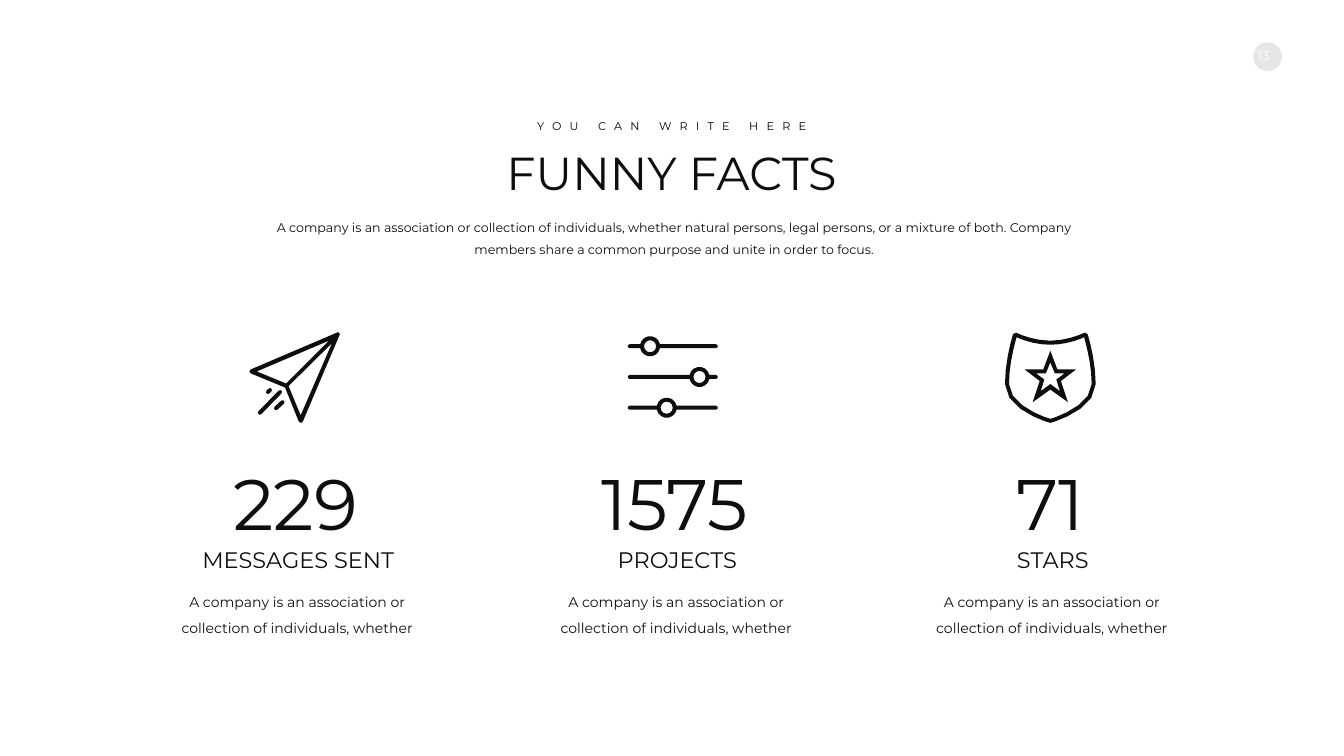
from math import asin, atan2, cos, pi, sin

from lxml import etree
from pptx import Presentation
from pptx.dml.color import RGBColor
from pptx.enum.shapes import MSO_SHAPE
from pptx.enum.text import MSO_ANCHOR, PP_ALIGN
from pptx.oxml.ns import qn
from pptx.util import Inches, Pt

CENTER, LEFT = PP_ALIGN.CENTER, PP_ALIGN.LEFT
MIDDLE = MSO_ANCHOR.MIDDLE
OVAL, RECT = MSO_SHAPE.OVAL, MSO_SHAPE.RECTANGLE
INK = RGBColor(0x0E, 0x0E, 0x0E)
BLACK = RGBColor(0, 0, 0)
WHITE = RGBColor(0xFF, 0xFF, 0xFF)
FONT = "Montserrat"
SLIDE_W, SLIDE_H = 26.66, 15
STROKE = 0.04  # half the line weight of the icons

INTRO = ("A company is an association or collection of individuals, whether "
         "natural persons, legal persons, or a mixture of both. Company "
         "members share a common purpose and unite in order to focus.")
DETAIL = "A company is an association or collection of individuals, whether"


def add_text(s, box, text, size, color=INK, align=CENTER, wrap=False, spacing=None):
    tb = s.shapes.add_textbox(*map(Inches, box))
    tf = tb.text_frame
    tf.word_wrap = wrap
    p = tf.paragraphs[0]
    p.text = text
    p.alignment = align
    p.line_spacing = spacing
    p.font.name = FONT
    p.font.size = Pt(size)
    p.font.color.rgb = color
    return tb


def fill_plain(sp, color):
    sp.shadow.inherit = False
    sp.fill.solid()
    sp.fill.fore_color.rgb = color
    sp.line.fill.background()
    return sp


# Outline helpers: each returns a list of (x, y) points in inches
def arc(cx, cy, r, start, end, steps):
    angles = [start + (end - start) * i / steps for i in range(steps + 1)]
    return [(cx + r * cos(a), cy + r * sin(a)) for a in angles]


def cap(x, y, a):
    """Round line end that faces the angle a."""
    return arc(x, y, STROKE, a - pi / 2, a + pi / 2, 3)


def capsule(x1, y1, x2, y2):
    a = atan2(y2 - y1, x2 - x1)
    return cap(x2, y2, a) + cap(x1, y1, a + pi)


def curve(p0, p1, p2, p3, steps=5):
    points = []
    for i in range(steps + 1):
        t = i / steps
        weights = ((1 - t) ** 3, 3 * t * (1 - t) ** 2, 3 * t * t * (1 - t), t ** 3)
        points.append(tuple(sum(w * p[k] for w, p in zip(weights, (p0, p1, p2, p3)))
                            for k in (0, 1)))
    return points


def mirror(half):
    """Close a right half, drawn from top to bottom, with its reflection."""
    return half + [(-x, y) for x, y in reversed(half[1:-1])]


def add_icon(s, cx, top, contours):
    """One filled shape; x runs from the icon's centre line, y from its top."""
    placed = [[(Inches(cx + x), Inches(top + y)) for x, y in c] for c in contours]
    fb = s.shapes.build_freeform(*placed[0][0], scale=1.0)
    for i, points in enumerate(placed):
        if i:
            fb.move_to(*points[0])
        fb.add_line_segments(points[1:], close=True)
    fill_plain(fb.convert_to_shape(), INK)


def plane_outline():
    body = [(0.86, 0), (0.84, 0.01), (-0.87, 0.74), (-0.9, 0.78), (-0.87, 0.82),
            (-0.19, 1.1), (0.08, 1.77), (0.12, 1.8), (0.16, 1.78), (0.89, 0.06),
            (0.9, 0.04)]
    lower_wing = [(0.12, 1.65), (-0.12, 1.07), (0.74, 0.22)]
    upper_wing = [(-0.75, 0.78), (0.68, 0.17), (-0.17, 1.02)]
    trails = [capsule(-0.37, 1.51, -0.24, 1.39), capsule(-0.69, 1.6, -0.29, 1.19),
              capsule(-0.53, 1.19, -0.49, 1.15)]
    return [body, lower_wing, upper_wing] + trails


def sliders_outline():
    knob, end = 0.2, 0.855
    a = asin(STROKE / knob)
    contours = []
    for row, x in enumerate((-0.45, 0.53, -0.12)):
        y = 0.28 + 0.61 * row
        contours.append(arc(x, y, knob, pi + a, 2 * pi - a, 7) + cap(end, y, 0)
                        + arc(x, y, knob, a, pi - a, 7) + cap(-end, y, pi))
        contours.append(arc(x, y, knob - 2 * STROKE, 0, 2 * pi, 12))
    return contours


def badge_outline():
    outer = (curve((0, 0.17), (0.36, 0.17), (0.68, 0.01), (0.68, 0.01))
             + curve((0.74, 0.04), (0.74, 0.04), (0.9, 0.54), (0.9, 1.03))
             + curve((0.9, 1.03), (0.9, 1.54), (0.05, 1.79), (0, 1.8))[1:])
    inner = (curve((0, 0.25), (0.3, 0.25), (0.57, 0.15), (0.67, 0.1))
             + curve((0.67, 0.1), (0.71, 0.25), (0.82, 0.63), (0.82, 1.03))[1:]
             + curve((0.82, 1.03), (0.82, 1.45), (0.09, 1.7), (0, 1.72))[1:])
    star = [(0, 0.37), (0.14, 0.74), (0.51, 0.74), (0.21, 0.97), (0.35, 1.39), (0, 1.14)]
    star_hole = [(0, 0.6), (0.09, 0.82), (0.28, 0.82), (0.12, 0.94), (0.19, 1.17),
                 (0, 1.03)]
    return [mirror(half) for half in (outer, inner, star, star_hole)]


def add_page_number(s, box):
    left, top, width, height = box
    fill_plain(s.shapes.add_shape(OVAL, *map(Inches, box)), BLACK)
    tb = add_text(s, (left, top - 0.02, width, height), "13", 18, WHITE, LEFT)
    tb.text_frame.vertical_anchor = MIDDLE


def add_veil(s, box):
    veil = fill_plain(s.shapes.add_shape(RECT, *map(Inches, box)), WHITE)
    color = veil.fill._xPr.find(qn("a:solidFill"))[0]
    etree.SubElement(color, qn("a:alpha"), val="90000")


def add_heading(s, box):
    left, top, width, _ = box
    mid = left + width / 2
    add_text(s, (mid - 3.87, top + 0.51, 7.63, 1.21), "FUNNY FACTS", 66)
    kicker = add_text(s, (mid - 2.94, top, 5.78, 0.37), "YOU CAN WRITE HERE", 16, BLACK)
    r = kicker.text_frame.paragraphs[0].runs[0]
    r.font._element.set("spc", "1185")
    add_text(s, (left, top + 1.85, width, 0.95), INTRO, 18, wrap=True, spacing=1.5)


def add_fact(s, box, outline, icon_dx, number, number_w, label, label_w):
    left, top, width, _ = box
    mid = left + width / 2
    add_icon(s, mid + icon_dx, top, outline)
    add_text(s, (mid - 0.03 - number_w / 2, top + 2.47, number_w, 1.82), number, 102)
    add_text(s, (mid + 0.02 - label_w / 2, top + 4.19, label_w, 0.64), label, 32)
    add_text(s, (left, top + 4.98, width, 1.04), DETAIL, 20, wrap=True, spacing=1.5)


def main():
    prs = Presentation()
    prs.slide_width, prs.slide_height = Inches(SLIDE_W), Inches(SLIDE_H)
    s = prs.slides.add_slide(prs.slide_layouts[6])

    # Page number, faded by the veil above it
    add_page_number(s, (24.86, 0.84, 0.57, 0.57))
    add_veil(s, (0, 0, SLIDE_W, SLIDE_H))

    add_heading(s, (5.36, 2.31, 16.03, 2.8))

    # Three facts in columns
    facts = [
        (3.27, plane_outline(), -0.05, "229", 3.02, "MESSAGES SENT", 5.11),
        (10.79, sliders_outline(), -0.07, "1575", 3.56, "PROJECTS", 3.23),
        (18.24, badge_outline(), -0.03, "71", 1.74, "STARS", 2.1),
    ]
    for left, *fact in facts:
        add_fact(s, (left, 6.59, 5.25, 6.02), *fact)

    prs.save("out.pptx")


if __name__ == "__main__":
    main()
